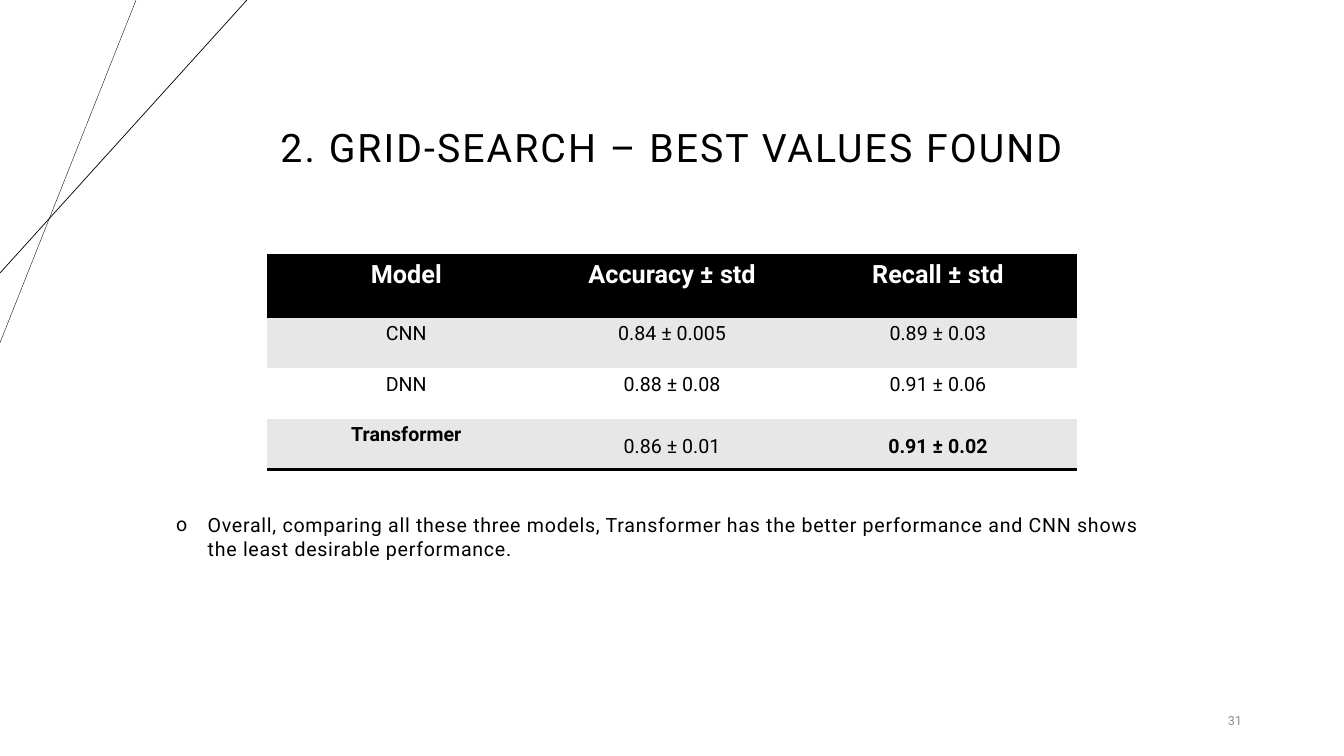
from dataclasses import dataclass

from lxml import etree
from pptx import Presentation
from pptx import util as u
from pptx.dml.color import RGBColor
from pptx.enum import shapes, text
from pptx.oxml import ns

Pt = u.Pt
ALIGN = text.PP_ALIGN
ANCHOR = text.MSO_ANCHOR


@dataclass(frozen=True)
class Theme:
    font: str = "Roboto"
    black: str = "000000"
    white: str = "FFFFFF"
    band: str = "E7E7E7"
    muted: str = "8C8C8C"
    title: float = 28
    header: float = 18
    body: float = 14
    number: float = 9
    rule: float = 2
    table_style: str = "{2D5ABB26-0587-4C30-8999-92F81FD0307C}"


class Deck:
    def __init__(self, theme):
        self.theme = theme
        self.prs = Presentation()
        self.prs.slide_width, self.prs.slide_height = Pt(960), Pt(540)

    def add_slide(self):
        self.s = self.prs.slides.add_slide(self.prs.slide_layouts[5])

    def run(self, p, words, size, color, bold=False, spacing=0):
        r = p.add_run()
        r.text = words
        r.font.name = self.theme.font
        r.font.size = Pt(size)
        r.font.bold = bold
        r.font.color.rgb = RGBColor.from_string(color)
        if spacing:
            r.font._element.set("spc", str(int(spacing * 100)))

    def line(self, x1, y1, x2, y2, width):
        ln = self.s.shapes.add_connector(
            shapes.MSO_CONNECTOR.STRAIGHT, Pt(x1), Pt(y1), Pt(x2), Pt(y2))
        ln.line.width = Pt(width)
        ln.line.color.rgb = RGBColor.from_string(self.theme.black)
        etree.SubElement(ln._element.spPr, ns.qn("a:effectLst"))

    def title(self, words, x, y, w, h):
        sp = self.s.shapes.title
        sp.left, sp.top, sp.width, sp.height = map(Pt, (x, y, w, h))
        tf = sp.text_frame
        tf.word_wrap = True
        tf.vertical_anchor = ANCHOR.MIDDLE
        p = tf.paragraphs[0]
        p.alignment = ALIGN.CENTER
        p.line_spacing = 0.9
        self.run(p, words, self.theme.title, self.theme.black, spacing=1.5)

    def textbox(self, x, y, w, h, anchor, align):
        tf = self.s.shapes.add_textbox(*map(Pt, (x, y, w, h))).text_frame
        tf.word_wrap = True
        tf.vertical_anchor = anchor
        p = tf.paragraphs[0]
        p.alignment = align
        return p

    def bullet(self, words, x, y, w, h, indent):
        p = self.textbox(x, y, w, h, ANCHOR.TOP, ALIGN.LEFT)
        pPr = p._p.get_or_add_pPr()
        pPr.set("marL", str(Pt(indent)))
        pPr.set("indent", str(-Pt(indent)))
        etree.SubElement(pPr, ns.qn("a:buFont"), typeface=self.theme.font)
        etree.SubElement(pPr, ns.qn("a:buChar"), char="o")
        self.run(p, words, self.theme.body, self.theme.black, spacing=0.5)

    def slide_number(self, number, x, y, w, h):
        p = self.textbox(x, y, w, h, ANCHOR.MIDDLE, ALIGN.RIGHT)
        self.run(p, number, self.theme.number, self.theme.muted)

    def border(self, cell, sides):
        tcPr = cell._tc.get_or_add_tcPr()
        for i, side in enumerate(sides):
            ln = etree.Element(ns.qn(f"a:ln{side}"), w=str(Pt(self.theme.rule)))
            fill = etree.SubElement(ln, ns.qn("a:solidFill"))
            etree.SubElement(fill, ns.qn("a:srgbClr"), val=self.theme.black)
            tcPr.insert(i, ln)

    def table(self, rows, x, y, widths, heights, bold, loose):
        th = self.theme
        tbl = self.s.shapes.add_table(
            len(rows), len(widths), Pt(x), Pt(y),
            Pt(sum(widths)), Pt(sum(heights))).table
        tbl._tbl.tblPr.find(ns.qn("a:tableStyleId")).text = th.table_style
        for col, w in zip(tbl.columns, widths):
            col.width = Pt(w)
        for i, (row, h) in enumerate(zip(rows, heights)):
            tbl.rows[i].height = Pt(h)
            head = i == 0
            fill = th.black if head else th.band if i % 2 else th.white
            for j, words in enumerate(row):
                cell = tbl.cell(i, j)
                cell.fill.solid()
                cell.fill.fore_color.rgb = RGBColor.from_string(fill)
                if head:
                    self.border(cell, "TB")
                elif i == len(rows) - 1:
                    self.border(cell, "B")
                p = cell.text_frame.paragraphs[0]
                p.alignment = ALIGN.CENTER
                if (i, j) in loose:
                    p.line_spacing = 1.5
                self.run(p, words, th.header if head else th.body,
                         th.white if head else th.black,
                         bold=head or (i, j) in bold)


def main():
    deck = Deck(Theme())
    deck.add_slide()
    deck.line(97.2, 0, 0, 244.8, 0.25)
    deck.line(176.4, 0, 0, 195, 0.5)
    deck.title("2. GRID-SEARCH – BEST VALUES FOUND", 148.3, 54.7, 663, 104.4)
    deck.slide_number("31", 678.2, 500.4, 216, 28.8)
    deck.bullet("Overall, comparing all these three models, Transformer has the "
                "better performance and CNN shows the least desirable performance.",
                118.8, 362.9, 722.9, 49, 22.5)
    deck.table(
        [("Model", "Accuracy ± std", "Recall ± std"),
         ("CNN", "0.84 ± 0.005", "0.89 ± 0.03"),
         ("DNN", "0.88 ± 0.08", "0.91 ± 0.06"),
         ("Transformer", "0.86 ± 0.01", "0.91 ± 0.02")],
        190.8, 182.2, (198.9, 180.9, 198.9), (44.4, 36.2, 36.2, 36.2),
        bold={(3, 0), (3, 2)}, loose={(3, 1), (3, 2)})
    deck.prs.save("out.pptx")


if __name__ == "__main__":
    main()
